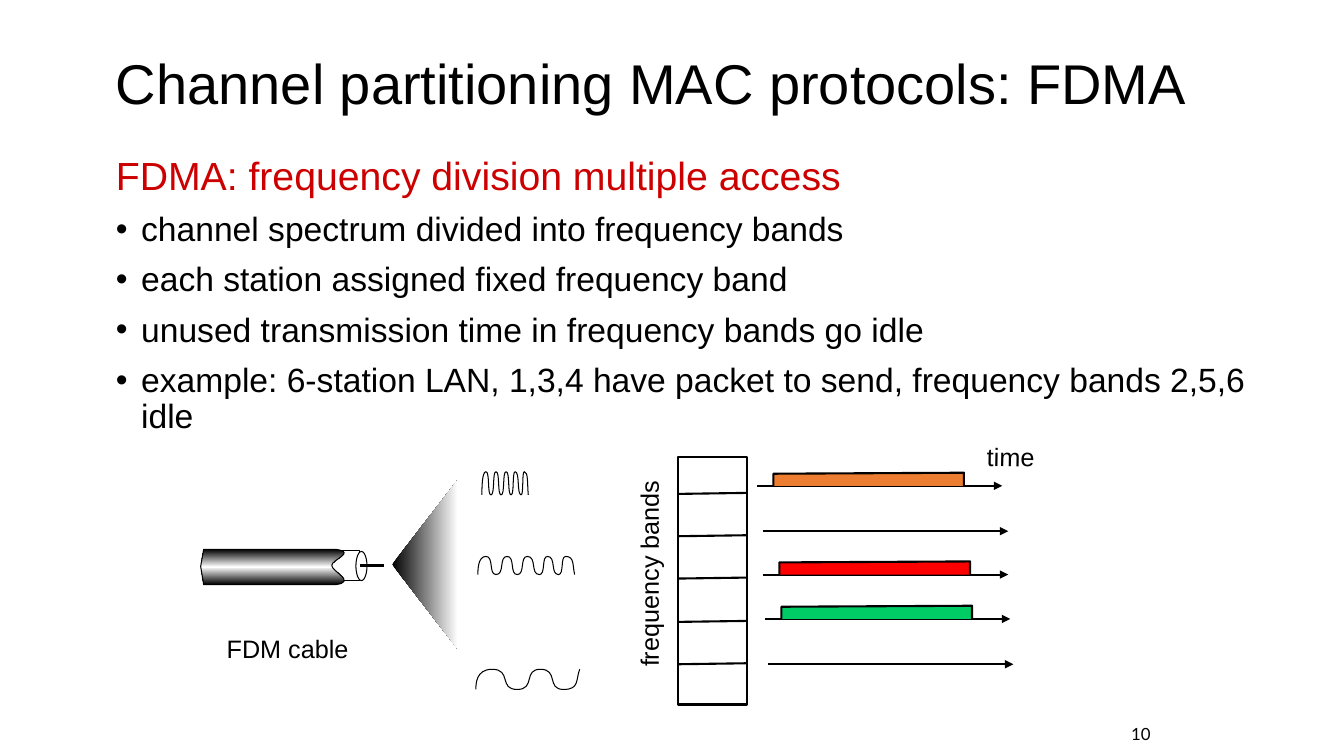
import copy
from dataclasses import dataclass

import pptx
import pptx.dml.color
import pptx.enum.shapes
import pptx.enum.text
import pptx.oxml.ns
import pptx.util
from lxml import etree

PX = 9144  # EMU per px, 100 px to the inch
BLACK, WHITE = "000000", "FFFFFF"
Point = tuple[float, float]
Segment = list[Point]  # one point for a straight line, three for a cubic curve
SHAPE = pptx.enum.shapes.MSO_SHAPE
ALIGN = pptx.enum.text.PP_ALIGN
ANCHOR = pptx.enum.text.MSO_ANCHOR
AUTO_SIZE = pptx.enum.text.MSO_AUTO_SIZE
qn = pptx.oxml.ns.qn


@dataclass
class Lane:
    """Time axis of one frequency band, with a bar if the band is in use."""
    left: int
    y: int
    bar_color: str = ""


@dataclass
class Wave:
    """Curve swinging from trough to crest through the given x positions."""
    trough: int
    crest: int
    xs: list[int]


@dataclass
class Label:
    words: str
    box: tuple[int, int, int, int]
    rotation: float = 0


LANES = [
    Lane(751, 482, "ED7D31"),
    Lane(757, 527),
    Lane(757, 570, "FF0000"),
    Lane(759, 614, "00CC66"),
    Lane(762, 659),
]
WAVES = [
    Wave(570, 552, [474, 482, 492, 503, 513, 523, 535, 543, 554, 561, 570]),
    Wave(491, 468, [478, 482, 487, 492, 497, 502, 507, 511, 517, 520, 524]),
    Wave(684, 664, [472, 488, 513, 536, 559, 575]),
]
LABELS = [
    Label("frequency bands", (541, 549, 205, 40), 270),
    Label("time", (969, 433, 67, 40), 1.1),
    Label("FDM cable", (215, 623, 141, 40)),
]
HEADING = "FDMA: frequency division multiple access"
BULLETS = [
    "channel spectrum divided into frequency bands",
    "each station assigned fixed frequency band",
    "unused transmission time in frequency bands go idle",
    "example: 6-station LAN, 1,3,4 have packet to send, frequency bands 2,5,6 idle",
]


def rgb(color: str) -> pptx.dml.color.RGBColor:
    return pptx.dml.color.RGBColor.from_string(color)


def emu(*lengths: float) -> list[int]:
    return [round(length * PX) for length in lengths]


def apply(target, **values) -> None:
    for attribute, value in values.items():
        setattr(target, attribute, value)


def set_font(paragraph, size: int, color: str = BLACK, name: str = "Arial") -> None:
    apply(paragraph.font, size=pptx.util.Pt(size), name=name)
    paragraph.font.color.rgb = rgb(color)


def place(shape, box: tuple[int, int, int, int]) -> None:
    apply(shape, **dict(zip(("left", "top", "width", "height"), emu(*box))))


def paint(shape, fill: str = "", line_width: float = 0) -> None:
    """Give a shape a solid or empty fill and a black or no outline."""
    shape.shadow.inherit = False
    if fill:
        shape.fill.solid()
        shape.fill.fore_color.rgb = rgb(fill)
    else:
        shape.fill.background()
    if line_width:
        shape.line.color.rgb = rgb(BLACK)
        shape.line.width = pptx.util.Pt(line_width)
    else:
        shape.line.fill.background()


def shade(shape, angle: int, colors: list[str]) -> None:
    """Fill with a gradient of evenly spaced colours."""
    shape.fill.gradient()
    stop_list = shape._element.spPr.find(".//" + qn("a:gsLst"))
    while len(stop_list) < len(colors):
        stop_list.append(copy.deepcopy(stop_list[0]))
    for i, (stop, color) in enumerate(zip(shape.fill.gradient_stops, colors)):
        stop.position = i / (len(colors) - 1)
        stop.color.rgb = rgb(color)
    shape.fill.gradient_angle = angle


def add_box(shapes, kind, box: tuple[int, int, int, int], line_width: float) -> None:
    paint(shapes.add_shape(kind, *emu(*box)), WHITE, line_width)


def add_line(shapes, start: Point, end: Point, width: float = 1.5, arrow: bool = False) -> None:
    line = shapes.add_connector(pptx.enum.shapes.MSO_CONNECTOR.STRAIGHT, *emu(*start, *end))
    line.line.color.rgb = rgb(BLACK)
    line.line.width = pptx.util.Pt(width)
    if arrow:
        etree.SubElement(line.line._get_or_add_ln(), qn("a:tailEnd"), type="triangle")
    etree.SubElement(line._element.spPr, qn("a:effectLst"))


def add_outline(shapes, start: Point, segments: list[Segment], close: bool = False):
    """Freeform whose three-point segments become cubic curves."""
    builder = shapes.build_freeform(*emu(*start), scale=1.0)
    builder.add_line_segments([emu(*p) for segment in segments for p in segment], close=close)
    shape = builder.convert_to_shape()
    steps = iter(list(shape._element.spPr.iter(qn("a:lnTo"))))
    for segment in segments:
        first, *others = [next(steps) for _ in segment]
        if others:
            curve = etree.Element(qn("a:cubicBezTo"))
            first.addprevious(curve)
            for step in (first, *others):
                curve.append(step[0])
                step.getparent().remove(step)
    return shape


def add_wave(shapes, wave: Wave) -> None:
    knots = [(x, wave.crest if i % 2 else wave.trough) for i, x in enumerate(wave.xs)]
    curves = []
    last = len(knots) - 2
    for i, ((x0, y0), (x1, y1)) in enumerate(zip(knots, knots[1:])):
        leave = (x0 + 0.8 * (x1 - x0), y0)
        arrive = (x0 + 0.25 * (x1 - x0), y1)
        if i == 0:
            leave, arrive = (x0, y0 + 0.25 * (y1 - y0)), (x0, y1)
        elif i == last:
            leave, arrive = (x1, y0), (x0 + 0.75 * (x1 - x0), (y0 + y1) / 2)
        curves.append([leave, arrive, (x1, y1)])
    paint(add_outline(shapes, knots[0], curves), line_width=0.75)


def add_lane(shapes, lane: Lane) -> None:
    add_line(shapes, (lane.left, lane.y), (lane.left + 243, lane.y), arrow=True)
    if lane.bar_color:
        left, right = lane.left + 16, lane.left + 205
        bar = add_outline(shapes, (left, lane.y), [
            [(left, lane.y - 12)], [(right, lane.y - 13)], [(right, lane.y)]])
        paint(bar, lane.bar_color, 1.5)


def add_cable(shapes) -> None:
    beam = add_outline(shapes, (454, 476), [[(389, 560)], [(454, 644)]], close=True)
    paint(beam)
    shade(beam, 0, [BLACK, WHITE])
    add_box(shapes, SHAPE.RECTANGLE, (328, 546, 29, 30), 0.75)
    jacket = add_outline(shapes, (202, 545), [
        [(199, 562)], [(202, 580)], [(333, 580)],
        [(354, 577), (329, 567), (329, 561)],
        [(329, 555), (354, 548), (333, 545)],
    ], close=True)
    paint(jacket, line_width=0.75)
    shade(jacket, 90, [BLACK, WHITE, BLACK])
    add_box(shapes, SHAPE.OVAL, (353, 547, 11, 29), 0.75)
    add_line(shapes, (357, 561), (381, 561), 2.25)


def add_label(shapes, label: Label) -> None:
    caption = shapes.add_textbox(*emu(*label.box))
    apply(caption.text_frame, text=label.words, word_wrap=False,
          auto_size=AUTO_SIZE.SHAPE_TO_FIT_TEXT)
    set_font(caption.text_frame.paragraphs[0], 18)
    caption.rotation = label.rotation


def fill_body(body) -> None:
    place(body, (105, 150, 1181, 508))
    apply(body.text_frame, text="\n".join([HEADING, *BULLETS]), word_wrap=True,
          auto_size=AUTO_SIZE.NONE, vertical_anchor=ANCHOR.TOP)
    for i, paragraph in enumerate(body.text_frame.paragraphs):
        properties = paragraph._p.get_or_add_pPr()
        properties.set("marL", str(25 * PX))
        properties.set("indent", str(-25 * PX))
        if i:
            etree.SubElement(properties, qn("a:buChar"), char="•")
        else:
            etree.SubElement(properties, qn("a:buNone"))
        apply(paragraph, line_spacing=0.9, alignment=ALIGN.LEFT,
              space_before=pptx.util.Pt(10 if i else 0))
        set_font(paragraph, 24 if i else 28, BLACK if i else "CC0000")


def main() -> None:
    deck = pptx.Presentation()
    apply(deck, slide_width=1333 * PX, slide_height=750 * PX)
    slide = deck.slides.add_slide(deck.slide_layouts[1])
    shapes = slide.shapes
    fill_body(slide.placeholders[1])
    add_box(shapes, SHAPE.RECTANGLE, (672, 453, 69, 246), 1.5)
    for divider in range(5):
        y = round(490 + 42.25 * divider)
        add_line(shapes, (672, y), (741, y - 1))
    for lane in LANES:
        add_lane(shapes, lane)
    add_cable(shapes)
    for wave in WAVES:
        add_wave(shapes, wave)
    for label in LABELS:
        add_label(shapes, label)

    title = shapes.title
    place(title, (105, 23, 1106, 125))
    apply(title.text_frame, text="Channel partitioning MAC protocols: FDMA", word_wrap=True,
          auto_size=AUTO_SIZE.NONE, vertical_anchor=ANCHOR.MIDDLE)
    heading = title.text_frame.paragraphs[0]
    apply(heading, alignment=ALIGN.LEFT, line_spacing=0.9)
    set_font(heading, 40)

    page_number = shapes.add_textbox(*emu(1091, 713, 60, 30))
    apply(page_number.text_frame, text="10", word_wrap=True, vertical_anchor=ANCHOR.MIDDLE)
    page_number.text_frame.paragraphs[0].alignment = ALIGN.RIGHT
    set_font(page_number.text_frame.paragraphs[0], 12, name="Lato")
    deck.save("out.pptx")


if __name__ == "__main__":
    main()
